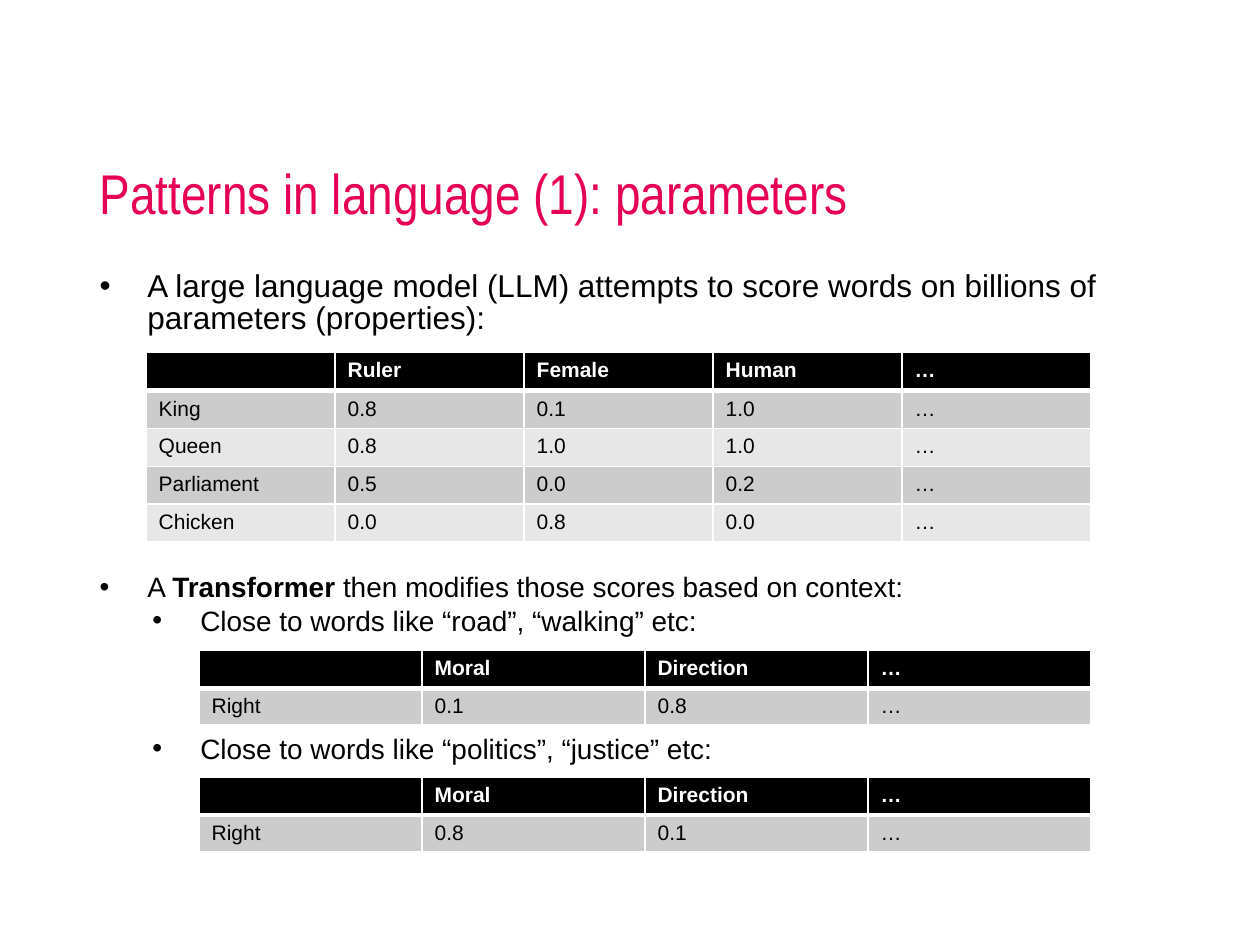
from lxml.etree import SubElement
from pptx import Presentation
from pptx.dml.color import RGBColor
from pptx.enum.text import MSO_ANCHOR as Anchor, MSO_AUTO_SIZE as AutoSize, PP_ALIGN as Align
from pptx.oxml.ns import qn
from pptx.util import Inches, Pt

BLACK = RGBColor(0x00, 0x00, 0x00)
WHITE = RGBColor(0xFF, 0xFF, 0xFF)
MAGENTA = RGBColor(0xE5, 0x00, 0x56)
BANDS = (RGBColor(0xCC, 0xCC, 0xCC), RGBColor(0xE7, 0xE7, 0xE7))

TITLE = dict(name="Arial Narrow", size=Pt(32), color=MAGENTA)
LEAD = dict(name="Arial", size=Pt(18), color=BLACK)
BODY = dict(LEAD, size=Pt(16))
HEADER = dict(name="Arial", size=Pt(12), color=WHITE, bold=True)
CELL = dict(HEADER, color=BLACK, bold=False)

HANGING = Inches(0.38)
MARGINS = (HANGING, Inches(0.8))


class Deck:
    """Holds the style and the current slide; places are shares of the slide."""

    def __init__(self):
        self.prs = Presentation()
        self.prs.slide_width, self.prs.slide_height = Inches(10), Inches(7.5)
        self.s = self.prs.slides.add_slide(self.prs.slide_layouts[1])

    def box(self, x, y, w, h):
        W, H = self.prs.slide_width, self.prs.slide_height
        return [round(v) for v in (x * W, y * H, w * W, h * H)]

    def place(self, sp, box, anchor):
        sp.left, sp.top, sp.width, sp.height = self.box(*box)
        tf = sp.text_frame
        frame = dict(word_wrap=True, auto_size=AutoSize.NONE, vertical_anchor=anchor)
        for key, value in frame.items():
            setattr(tf, key, value)
        return tf

    def run(self, p, text, fmt):
        r = p.add_run()
        r.text = text
        for key, value in fmt.items():
            if key == "color":
                r.font.color.rgb = value
            else:
                setattr(r.font, key, value)

    def title(self, text, box):
        p = self.place(self.s.shapes.title, box, Anchor.BOTTOM).paragraphs[0]
        p.alignment, p.line_spacing = Align.LEFT, 0.9
        self.run(p, text, TITLE)

    def bullets(self, items, box):
        tf = self.place(self.s.placeholders[1], box, Anchor.TOP)
        for i, (level, before, fmt, parts) in enumerate(items):
            p = tf.add_paragraph() if i else tf.paragraphs[0]
            p.level, p.line_spacing, p.space_before = level, 0.85, Pt(before)
            pPr = p._p.get_or_add_pPr()
            pPr.set("marL", str(MARGINS[level]))
            pPr.set("indent", str(-HANGING))
            SubElement(pPr, qn("a:buFont"), typeface="Arial")
            SubElement(pPr, qn("a:buChar"), char="•")
            for text, bold in parts:
                self.run(p, text, dict(fmt, bold=bold))

    def borders(self, cell, top, bottom):
        tcPr = cell._tc.get_or_add_tcPr()
        for side, width in dict(L=1, R=1, T=top, B=bottom).items():
            ln = SubElement(tcPr, qn(f"a:ln{side}"), w=str(Pt(width)))
            fill = SubElement(ln, qn("a:solidFill"))
            SubElement(fill, qn("a:srgbClr"), val=str(WHITE))

    def table(self, rows, box):
        shape = self.s.shapes.add_table(len(rows), len(rows[0]), *self.box(*box))
        for i, row in enumerate(rows):
            for j, text in enumerate(row):
                cell = shape.table.cell(i, j)
                self.borders(cell, 3 if i == 1 else 1, 1 if i else 3)
                cell.fill.solid()
                cell.fill.fore_color.rgb = BANDS[(i - 1) % 2] if i else BLACK
                p = cell.text_frame.paragraphs[0]
                if text:
                    self.run(p, text, CELL if i else HEADER)
                else:  # keeps the empty cell as low as its row
                    SubElement(p._p, qn("a:endParaRPr"), sz="1200")


def main():
    deck = Deck()

    # Title and bullets, with room left for the tables
    deck.title("Patterns in language (1): parameters", (0.069, 0.053, 0.862, 0.193))
    deck.bullets([
        (0, 0, LEAD, [("A large language model (LLM) attempts to score words on "
                       "billions of parameters (properties):", False)]),
        (0, 136.5, BODY, [("A ", False), ("Transformer", True),
                          (" then modifies those scores based on context:", False)]),
        (1, 2.8, BODY, [("Close to words like “road”, “walking” etc:", False)]),
        (1, 57, BODY, [("Close to words like “politics”, “justice” etc:", False)]),
    ], (0.069, 0.281, 0.862, 0.621))

    # Word scores
    deck.table([
        ("", "Ruler", "Female", "Human", "…"),
        ("King", "0.8", "0.1", "1.0", "…"),
        ("Queen", "0.8", "1.0", "1.0", "…"),
        ("Parliament", "0.5", "0.0", "0.2", "…"),
        ("Chicken", "0.0", "0.8", "0.0", "…"),
    ], (0.116, 0.373, 0.75, 0.2))

    # The same word in two contexts
    for y, moral, direction in ((0.688, "0.1", "0.8"), (0.822, "0.8", "0.1")):
        deck.table([("", "Moral", "Direction", "…"),
                    ("Right", moral, direction, "…")], (0.158, y, 0.708, 0.077))

    deck.prs.save("out.pptx")


if __name__ == "__main__":
    main()
